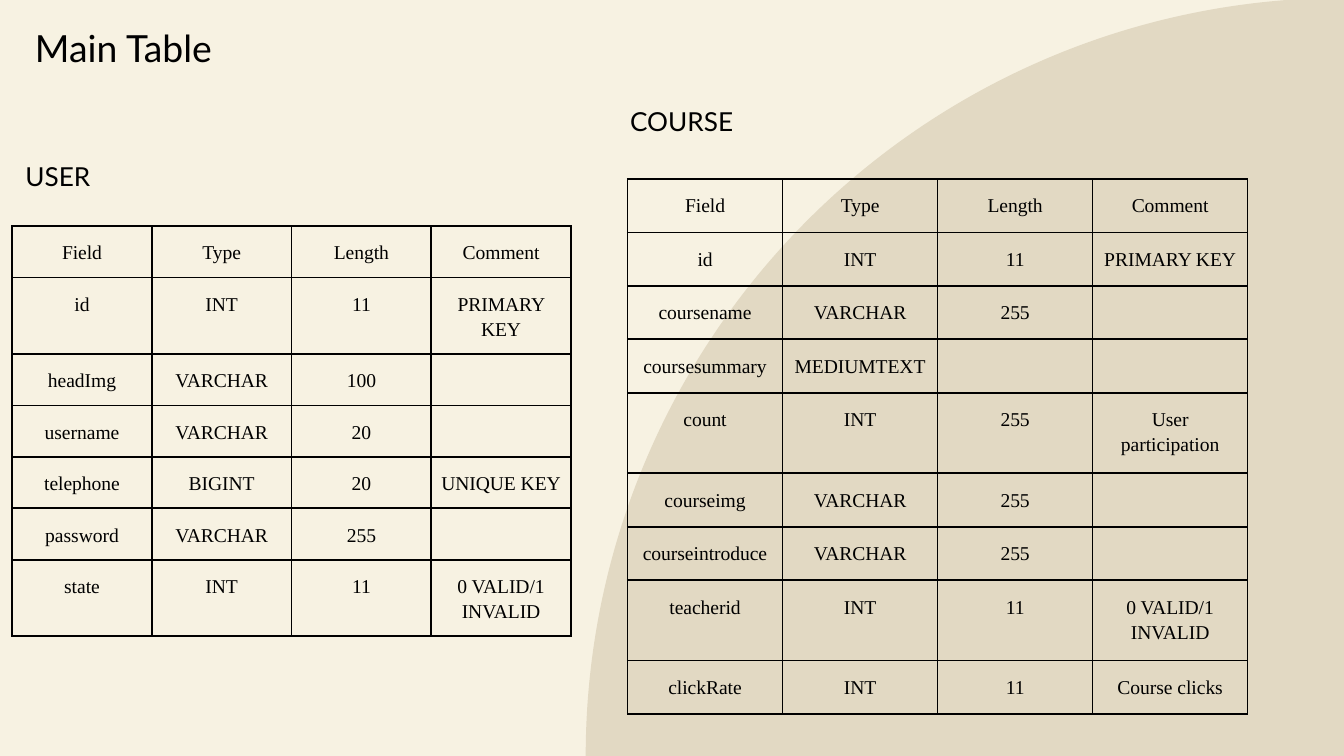
from dataclasses import dataclass

from lxml.etree import SubElement
from pptx import Presentation
from pptx.dml.color import RGBColor
from pptx.enum.shapes import MSO_SHAPE
from pptx.enum.text import MSO_ANCHOR, PP_ALIGN
from pptx.oxml.ns import qn
from pptx.util import Cm, Pt

COLORS = {"background": "F7F2E2", "arc": "E2D9C3", "ink": "000000"}
HEADING_FONT = "Lato"
TABLE_FONT = "Times New Roman"
TABLE_SIZE = 10.5
ROW_H = 0.9
HEADER = ("Field", "Type", "Length", "Comment")


@dataclass
class Heading:
    text: str
    left: float
    top: float
    size: float


@dataclass
class FieldTable:
    heading: Heading
    left: float
    top: float
    col_w: float
    rows: list[tuple[str, str, str, str]]


TITLE = Heading("Main Table", 0.41, 0.23, 20)

TABLES = [
    FieldTable(Heading("USER", 0.23, 2.79, 14), 0.23, 4.27, 2.64, [
        ("id", "INT", "11", "PRIMARY KEY"),
        ("headImg", "VARCHAR", "100", ""),
        ("username", "VARCHAR", "20", ""),
        ("telephone", "BIGINT", "20", "UNIQUE KEY"),
        ("password", "VARCHAR", "255", ""),
        ("state", "INT", "11", "0 VALID/1 INVALID"),
    ]),
    FieldTable(Heading("COURSE", 11.66, 1.75, 14), 11.86, 3.38, 2.93, [
        ("id", "INT", "11", "PRIMARY KEY"),
        ("coursename", "VARCHAR", "255", ""),
        ("coursesummary", "MEDIUMTEXT", "", ""),
        ("count", "INT", "255", "User participation"),
        ("courseimg", "VARCHAR", "255", ""),
        ("courseintroduce", "VARCHAR", "255", ""),
        ("teacherid", "INT", "11", "0 VALID/1 INVALID"),
        ("clickRate", "INT", "11", "Course clicks"),
    ]),
]


def rgb(name: str) -> RGBColor:
    return RGBColor.from_string(COLORS[name])


def add_run(p, text: str, size: float, font: str) -> None:
    r = p.add_run()
    r.text = text
    r.font.size = Pt(size)
    r.font.name = font
    r.font.color.rgb = rgb("ink")


def write_heading(sp, heading: Heading) -> None:
    sp.left, sp.top = Cm(heading.left), Cm(heading.top)
    sp.width, sp.height = Cm(7.11), Cm(1.32)
    tf = sp.text_frame
    tf.word_wrap = True
    tf.vertical_anchor = MSO_ANCHOR.TOP
    tf.margin_left = tf.margin_right = tf.margin_top = tf.margin_bottom = Cm(0.25)
    p = tf.paragraphs[0]
    p.alignment = PP_ALIGN.LEFT
    add_run(p, heading.text, heading.size, HEADING_FONT)


def add_borders(cell) -> None:
    tc_pr = cell._tc.get_or_add_tcPr()
    for side in ("a:lnL", "a:lnR", "a:lnT", "a:lnB"):
        ln = SubElement(tc_pr, qn(side), w=str(Pt(1)))
        fill = SubElement(ln, qn("a:solidFill"))
        SubElement(fill, qn("a:srgbClr"), val=COLORS["ink"])


def write_cell(cell, text: str) -> None:
    cell.margin_left = cell.margin_right = Cm(0.18)
    cell.margin_top = cell.margin_bottom = Cm(0.25)
    add_borders(cell)
    cell.fill.background()
    p = cell.text_frame.paragraphs[0]
    p.alignment = PP_ALIGN.CENTER
    p.line_spacing = 1.15
    if text:
        add_run(p, text, TABLE_SIZE, TABLE_FONT)
    else:
        # Keep blank cells from stretching their row
        SubElement(p._p, qn("a:endParaRPr"), sz=str(int(TABLE_SIZE * 100)))


def add_field_table(s, spec: FieldTable) -> None:
    rows = [HEADER, *spec.rows]
    tbl = s.shapes.add_table(
        len(rows), len(HEADER), Cm(spec.left), Cm(spec.top),
        Cm(spec.col_w * len(HEADER)), Cm(ROW_H * len(rows))).table
    tbl.first_row = tbl.horz_banding = False
    for col in tbl.columns:
        col.width = Cm(spec.col_w)
    for i, row in enumerate(rows):
        tbl.rows[i].height = Cm(ROW_H)
        for j, text in enumerate(row):
            write_cell(tbl.cell(i, j), text)


def add_arc(s, radius: float, cx: float, cy: float) -> None:
    sp = s.shapes.add_shape(MSO_SHAPE.PIE, Cm(cx - radius), Cm(cy - radius),
                            Cm(2 * radius), Cm(2 * radius))
    # Upper left quarter, from 180 to 270 degrees
    sp.adjustments[0], sp.adjustments[1] = 108, 162
    sp.shadow.inherit = False
    sp.fill.solid()
    sp.fill.fore_color.rgb = rgb("arc")
    sp.line.fill.background()
    s.shapes._spTree.insert(2, sp._element)  # behind the title


def main() -> None:
    prs = Presentation()
    prs.slide_width, prs.slide_height = Cm(25.4), Cm(14.29)
    s = prs.slides.add_slide(prs.slide_layouts[5])

    # Background
    s.background.fill.solid()
    s.background.fill.fore_color.rgb = rgb("background")
    add_arc(s, 14.33, 25.4, 14.29)

    # Title
    write_heading(s.shapes.title, TITLE)

    # Tables with their headings
    for spec in TABLES:
        add_field_table(s, spec)
        write_heading(s.shapes.add_textbox(0, 0, 0, 0), spec.heading)

    prs.save("out.pptx")


if __name__ == "__main__":
    main()
